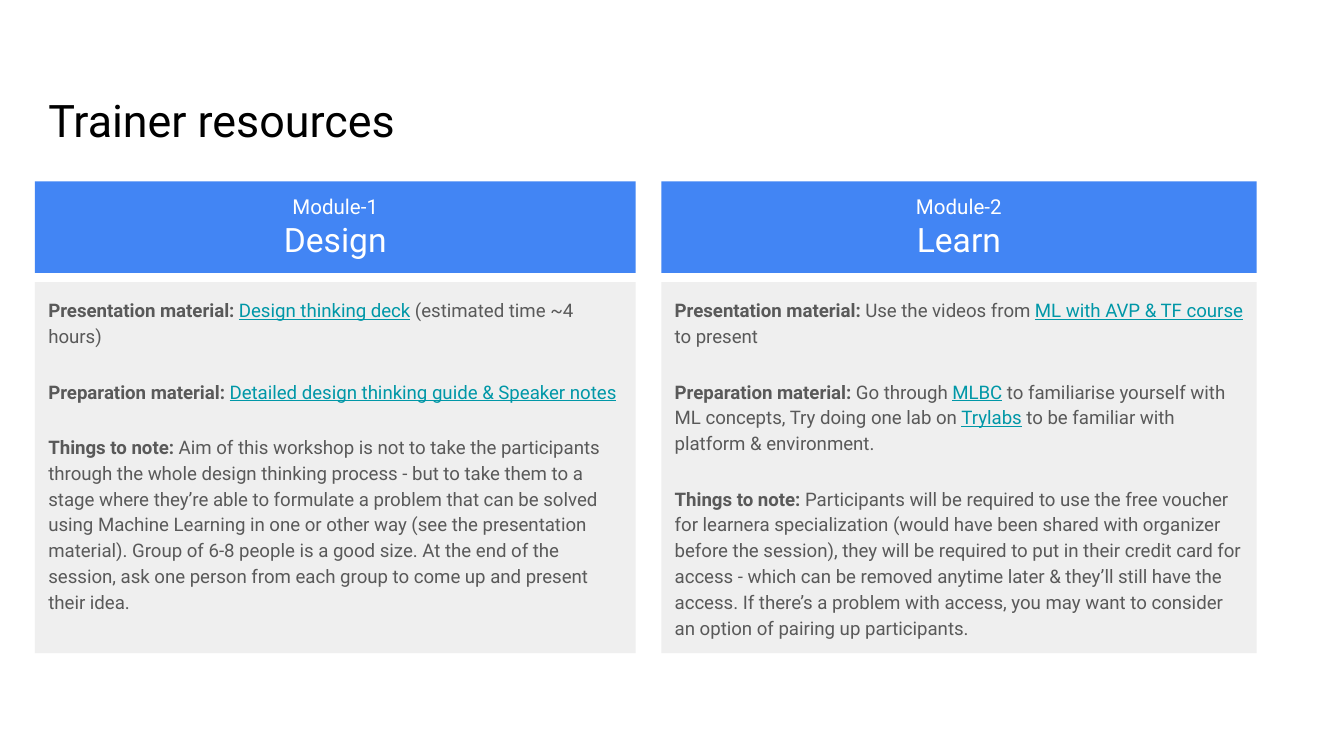
"""Build the trainer resources slide with two module columns."""
from lxml import etree
from pptx import Presentation
from pptx import util as u
from pptx.dml.color import RGBColor
from pptx.enum import text
from pptx.oxml.ns import qn

COLORS = {"title": "000000", "header": "4285F4", "panel": "EFEFEF",
          "white": "FFFFFF", "body": "595959", "link": "0097A7"}
FONT = "Roboto"
TITLE = "Trainer resources"
MODULES = [
    {"label": "Module-1", "name": "Design", "left": 18.72, "width": 321.84, "notes": [
        [("Presentation material: ", "bold"), ("Design thinking deck", "link"),
         (" (estimated time ~4 hours)", "plain")],
        [("Preparation material: ", "bold"),
         ("Detailed design thinking guide & Speaker notes", "link")],
        [("Things to note: ", "bold"),
         ("Aim of this workshop is not to take the participants through the whole design "
          "thinking process - but to take them to a stage where they’re able to formulate a "
          "problem that can be solved using Machine Learning in one or other way (see the "
          "presentation material). Group of 6-8 people is a good size. At the end of the "
          "session, ask one person from each group to come up and present their idea.", "plain")],
    ]},
    {"label": "Module-2", "name": "Learn", "left": 354.24, "width": 318.96, "notes": [
        [("Presentation material:", "bold"), (" Use the videos from ", "plain"),
         ("ML with AVP & TF course", "link"), (" to present", "plain")],
        [("Preparation material:", "bold"), (" Go through ", "plain"), ("MLBC", "link"),
         (" to familiarise yourself with ML concepts, Try doing one lab on ", "plain"),
         ("Trylabs", "link"), (" to be familiar with platform & environment.", "plain")],
        [("Things to note: ", "bold"),
         ("Participants will be required to use the free voucher for learnera specialization "
          "(would have been shared with organizer before the session), they will be required "
          "to put in their credit card for access - which can be removed anytime later & "
          "they’ll still have the access. If there’s a problem with access, you may want to "
          "consider an option of pairing up participants.", "plain")],
    ]},
]
HEADER_TOP, HEADER_HEIGHT = 97.2, 48.96
PANEL_TOP, PANEL_HEIGHT = 151.2, 198.72


def prepare(box, left, top, width, height, anchor, fill=None):
    box.left, box.top, box.width, box.height = map(u.Pt, (left, top, width, height))
    frame = box.text_frame
    frame.word_wrap = True
    frame.auto_size = text.MSO_AUTO_SIZE.NONE
    frame.vertical_anchor = anchor
    frame.margin_left = frame.margin_right = u.Pt(7.2)
    frame.margin_top = frame.margin_bottom = u.Pt(7.2)
    if fill:
        box.fill.solid()
        box.fill.fore_color.rgb = RGBColor.from_string(COLORS[fill])
    return frame


def format_span(span, size, color, bold=False, underline=False):
    font = span.font
    font.name, font.size = FONT, u.Pt(size)
    font.bold, font.underline = bold, underline
    font.color.rgb = RGBColor.from_string(COLORS[color])


def format_para(para, align, before=0, spacing=1.0):
    properties = para._p.get_or_add_pPr()
    properties.set("marL", "0")
    properties.set("indent", "0")
    etree.SubElement(properties, qn("a:buNone"))
    para.alignment = align
    para.line_spacing = spacing
    para.space_before, para.space_after = u.Pt(before), u.Pt(0)


def fill_header(frame, module):
    frame.text = f"{module['label']}\n{module['name']}"
    for para, size in zip(frame.paragraphs, (11, 18)):
        format_para(para, text.PP_ALIGN.CENTER)
        format_span(para.runs[0], size, "white")


def fill_notes(frame, notes):
    for index, pieces in enumerate(notes):
        para = frame.add_paragraph() if index else frame.paragraphs[0]
        format_para(para, text.PP_ALIGN.LEFT, 16 if index else 0, 1.15)
        for words, style in pieces:
            span = para.add_run()
            span.text = words
            is_link = style == "link"
            format_span(span, 10, "link" if is_link else "body", style == "bold", is_link)


def main():
    deck = Presentation()
    deck.slide_width, deck.slide_height = u.Pt(720), u.Pt(405)
    page = deck.slides.add_slide(deck.slide_layouts.get_by_name("Comparison"))
    boxes = {box.placeholder_format.idx: box for box in page.placeholders}

    frame = prepare(boxes[0], 18.72, 25.92, 648, 59.76, text.MSO_ANCHOR.BOTTOM)
    frame.text = TITLE
    format_para(frame.paragraphs[0], text.PP_ALIGN.LEFT)
    format_span(frame.paragraphs[0].runs[0], 24, "title")

    for index, module in enumerate(MODULES):
        left, width = module["left"], module["width"]
        header, panel = boxes[2 * index + 1], boxes[2 * index + 2]
        fill_header(prepare(header, left, HEADER_TOP, width, HEADER_HEIGHT,
                            text.MSO_ANCHOR.BOTTOM, "header"), module)
        fill_notes(prepare(panel, left, PANEL_TOP, width, PANEL_HEIGHT,
                           text.MSO_ANCHOR.TOP, "panel"), module["notes"])
    for index in set(boxes) - set(range(5)):
        boxes[index].element.getparent().remove(boxes[index].element)
    deck.save("out.pptx")


if __name__ == "__main__":
    main()
